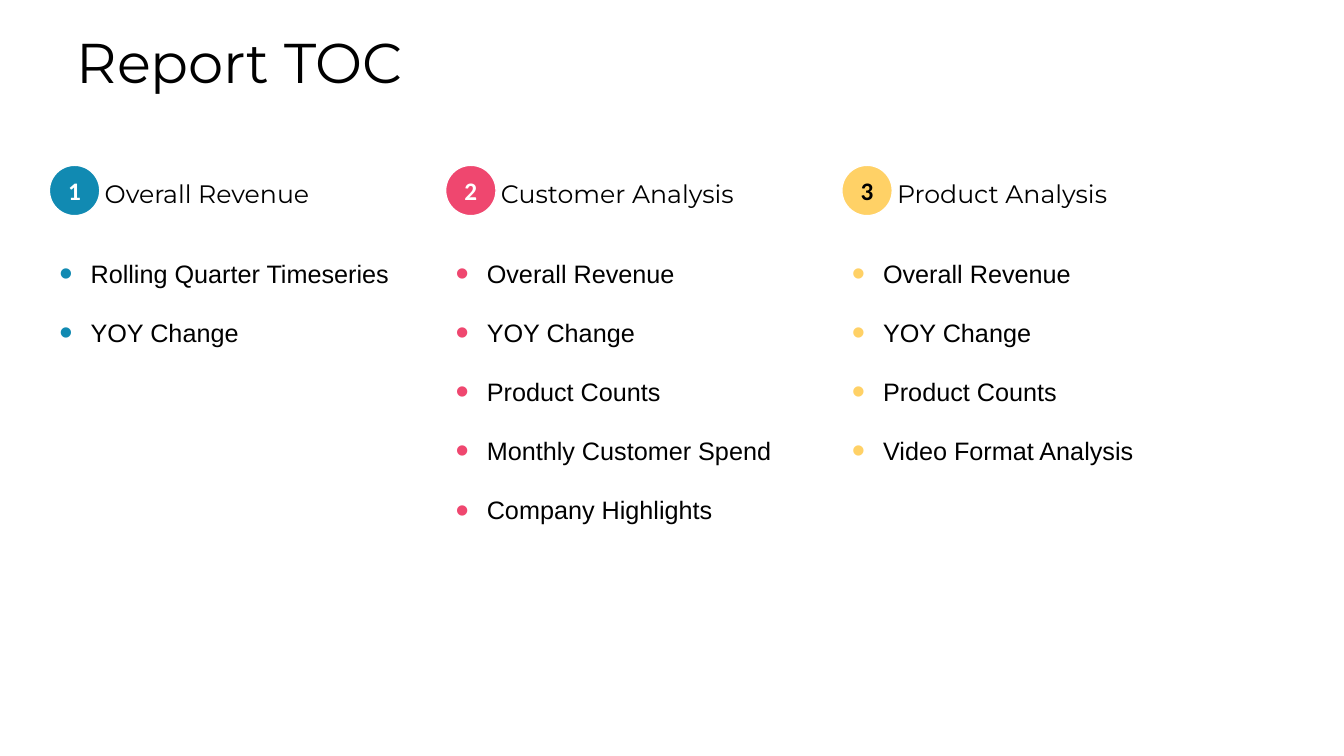
from lxml.etree import SubElement
from pptx import Presentation
from pptx.dml.color import RGBColor
from pptx.enum.shapes import MSO_SHAPE
from pptx.enum.text import MSO_ANCHOR, MSO_AUTO_SIZE, PP_ALIGN
from pptx.oxml.ns import qn
from pptx.util import Inches, Pt

COLORS = {
    "black": "000000",
    "white": "FFFFFF",
    "blue": "118AB2",
    "pink": "EF476F",
    "yellow": "FFD166",
}
GRID_LEFT = 0.49
COLUMN_PITCH = 3.93
COLUMN_WIDTH = 3.59
BADGE_SIZE = 0.5
BADGE_TOP = 1.64
HEADING_TOP = 1.72
HEADING_INDENT = 0.45
LIST_TOP = 2.51
ITEM_PITCH = 0.6

SECTIONS = [
    ("Overall Revenue", "blue", "white", ["Rolling Quarter Timeseries", "YOY Change"]),
    ("Customer Analysis", "pink", "white",
     ["Overall Revenue", "YOY Change", "Product Counts",
      "Monthly Customer Spend", "Company Highlights"]),
    ("Product Analysis", "yellow", "black",
     ["Overall Revenue", "YOY Change", "Product Counts", "Video Format Analysis"]),
]


def color(name):
    return RGBColor.from_string(COLORS[name])


def apply(target, values):
    for name, value in values.items():
        setattr(target, name, value)


def write(para, text, font, size=18, ink="black", bold=False):
    span = para.add_run()
    span.text = text
    apply(span.font, {"name": font, "size": Pt(size), "bold": bold})
    span.font.color.rgb = color(ink)


def add_title(page, text):
    title = page.shapes.title
    apply(title, {"left": Inches(0.66), "top": Inches(0.22),
                  "width": Inches(7.8), "height": Inches(0.77)})
    apply(title.text_frame, {"vertical_anchor": MSO_ANCHOR.MIDDLE,
                             "auto_size": MSO_AUTO_SIZE.NONE, "word_wrap": True})
    para = title.text_frame.paragraphs[0]
    para.alignment = PP_ALIGN.LEFT
    write(para, text, "Montserrat", 40)


def add_text_box(page, left, top, width, height):
    box = page.shapes.add_textbox(Inches(left), Inches(top), Inches(width), Inches(height))
    box.text_frame.word_wrap = True
    return box.text_frame


def add_badge(page, left, number, fill, ink):
    badge = page.shapes.add_shape(
        MSO_SHAPE.OVAL, Inches(left), Inches(BADGE_TOP), Inches(BADGE_SIZE), Inches(BADGE_SIZE))
    badge.shadow.inherit = False
    badge.fill.solid()
    badge.fill.fore_color.rgb = color(fill)
    badge.line.color.rgb = color("white")
    badge.line.width = Pt(1)
    badge.text_frame.vertical_anchor = MSO_ANCHOR.MIDDLE
    para = badge.text_frame.paragraphs[0]
    para.alignment = PP_ALIGN.CENTER
    write(para, str(number), "Calibri", ink=ink, bold=True)


def add_heading(page, left, text):
    frame = add_text_box(page, left + HEADING_INDENT, HEADING_TOP,
                         COLUMN_WIDTH - HEADING_INDENT, 0.4)
    write(frame.paragraphs[0], text, "Montserrat")


def add_bullet(para, name):
    properties = para._p.get_or_add_pPr()
    indent = Inches(0.31)
    properties.set("marL", str(indent))
    properties.set("indent", str(-indent))
    bullet_color = SubElement(properties, qn("a:buClr"))
    SubElement(bullet_color, qn("a:srgbClr"), val=COLORS[name])
    SubElement(properties, qn("a:buSzPct"), val="150000")
    SubElement(properties, qn("a:buFont"), typeface="Arial")
    SubElement(properties, qn("a:buChar"), char="•")


def add_list(page, left, items, bullet):
    height = 0.4 + ITEM_PITCH * (len(items) - 1)
    frame = add_text_box(page, left, LIST_TOP, COLUMN_WIDTH, height)
    for index, item in enumerate(items):
        para = frame.add_paragraph() if index else frame.paragraphs[0]
        if index < len(items) - 1:
            para.space_after = Pt(20.7)
        add_bullet(para, bullet)
        write(para, item, "Arial")


def main():
    deck = Presentation()
    apply(deck, {"slide_width": Inches(13.33), "slide_height": Inches(7.5)})
    page = deck.slides.add_slide(deck.slide_layouts[5])
    add_title(page, "Report TOC")
    for index, (heading, fill, ink, items) in enumerate(SECTIONS):
        left = GRID_LEFT + index * COLUMN_PITCH
        add_heading(page, left, heading)
        add_badge(page, left, index + 1, fill, ink)
        add_list(page, left, items, fill)
    deck.save("out.pptx")


if __name__ == "__main__":
    main()
